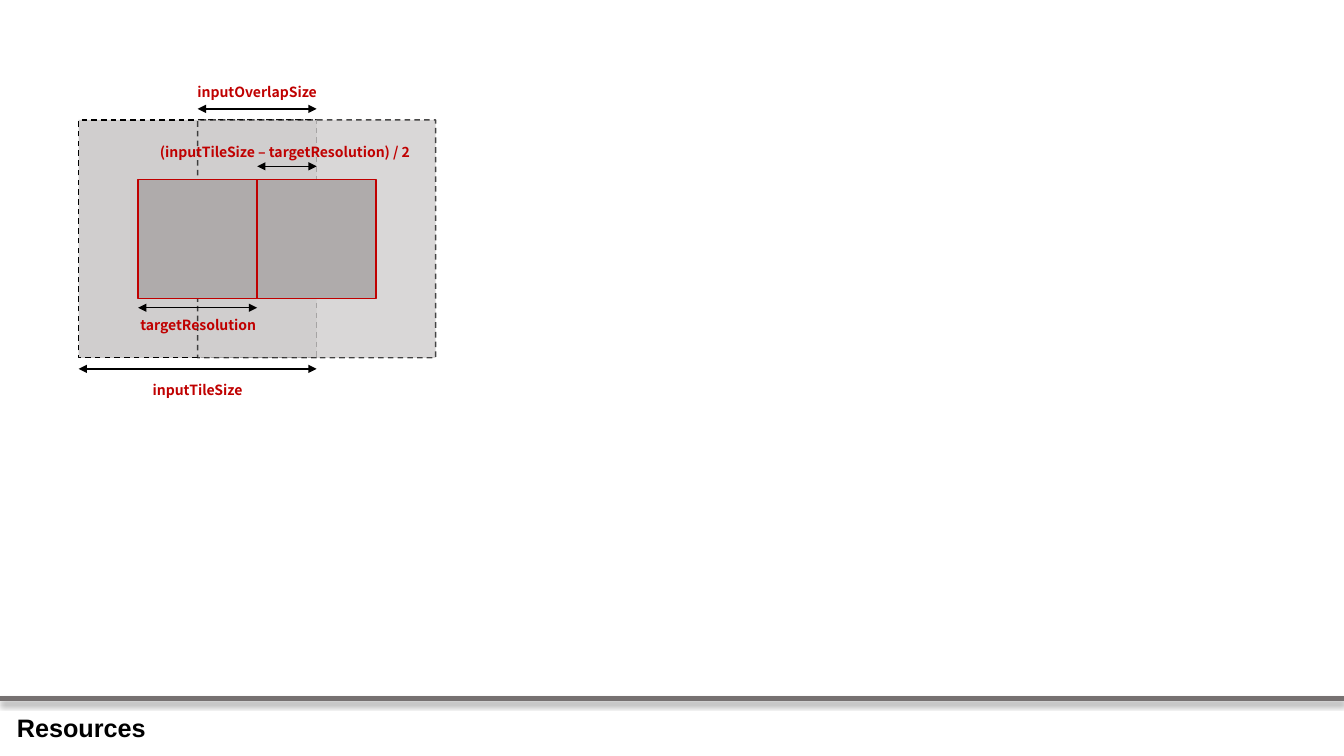
from lxml.etree import SubElement
from pptx import Presentation
from pptx.dml.color import RGBColor
from pptx.enum.dml import MSO_LINE
from pptx.enum.shapes import MSO_CONNECTOR, MSO_SHAPE
from pptx.enum.text import MSO_AUTO_SIZE, PP_ALIGN
from pptx.oxml.ns import qn
from pptx.util import Pt

HUES = {
    "tile": "D0CECE",
    "core": "AFABAB",
    "red": "C00000",
    "black": "000000",
    "rule": "767171",
}
WIDE, HIGH = 960, 540
LEFT, TOP, STEP = 56.2, 85.6, 42.5


def hue(name):
    return RGBColor.from_string(HUES[name])


def col(num):
    return LEFT + num * STEP


def row(num):
    return TOP + num * STEP


def fade(fill, part):
    color = fill._xPr.find(qn("a:solidFill"))[0]
    SubElement(color, qn("a:alpha"), val=str(part * 1000))


def add_box(slide, x, y, size, fill, edge):
    box = slide.shapes.add_shape(
        MSO_SHAPE.RECTANGLE, Pt(x), Pt(y), Pt(size), Pt(size))
    box.shadow.inherit = False
    box.fill.solid()
    box.fill.fore_color.rgb = hue(fill)
    box.line.color.rgb = hue(edge)
    box.line.width = Pt(1)
    return box


def add_tile(slide, num):
    tile = add_box(slide, col(num), TOP, 4 * STEP, "tile", "black")
    tile.line.dash_style = MSO_LINE.DASH
    return tile


def add_line(slide, x, y, end, color, width):
    line = slide.shapes.add_connector(
        MSO_CONNECTOR.STRAIGHT, Pt(x), Pt(y), Pt(end), Pt(y))
    line.line.color.rgb = hue(color)
    line.line.width = Pt(width)
    effect = SubElement(line._element.spPr, qn("a:effectLst"))
    return line, effect


def add_span(slide, start, stop, y):
    line, effect = add_line(slide, col(start), y, col(stop), "black", 1)
    stroke = line.line._get_or_add_ln()
    for end in ("a:headEnd", "a:tailEnd"):
        SubElement(stroke, qn(end), type="triangle")


def add_text(slide, text, x, y, width, height, font, size, color):
    box = slide.shapes.add_textbox(Pt(x), Pt(y), Pt(width), Pt(height))
    frame = box.text_frame
    frame.text = text
    frame.word_wrap = True
    frame.auto_size = MSO_AUTO_SIZE.SHAPE_TO_FIT_TEXT
    style = frame.paragraphs[0].runs[0].font
    style.name = font
    style.size = Pt(size)
    style.bold = True
    style.color.rgb = hue(color)
    return frame


def add_label(slide, text, x, y, width=118):
    frame = add_text(slide, text, x, y, width, 23,
                     "Noto Sans CJK SC", 10, "red")
    para = frame.paragraphs[0]
    para.alignment = PP_ALIGN.CENTER
    para.line_spacing = 1.5


def add_foot(slide):
    rule, effect = add_line(slide, 0, 499, WIDE, "rule", 3.5)
    shade = SubElement(effect, qn("a:outerShdw"), blurRad=str(Pt(4)),
                       dist=str(Pt(3)), dir="5400000", rotWithShape="0")
    color = SubElement(shade, qn("a:srgbClr"), val=HUES["black"])
    SubElement(color, qn("a:alpha"), val="40000")
    title = add_text(slide, "Resources", 5, 505.4, 107.3, 29,
                     "Arial", 18, "black")
    title.word_wrap = False


def main():
    deck = Presentation()
    deck.slide_width, deck.slide_height = Pt(WIDE), Pt(HIGH)
    slide = deck.slides.add_slide(deck.slide_layouts[6])

    add_tile(slide, 0)
    add_label(slide, "inputTileSize", 82.1, 262.8)
    add_span(slide, 0, 4, 263.5)

    over = add_tile(slide, 2)
    fade(over.fill, 80)
    fade(over.line.fill, 70)
    for num in (3, 1):
        add_box(slide, col(num), row(1), 2 * STEP, "core", "red")

    add_label(slide, "inputOverlapSize", 124.6, 50.4)
    add_span(slide, 2, 4, 77.8)
    add_span(slide, 1, 3, 219.8)
    add_label(slide, "targetResolution", 82.6, 216.7)
    add_span(slide, 3, 4, 118.8)
    add_label(slide, "(inputTileSize – targetResolution) / 2", 95.8, 92.9, 215.3)

    add_foot(slide)
    deck.save("out.pptx")


if __name__ == "__main__":
    main()
